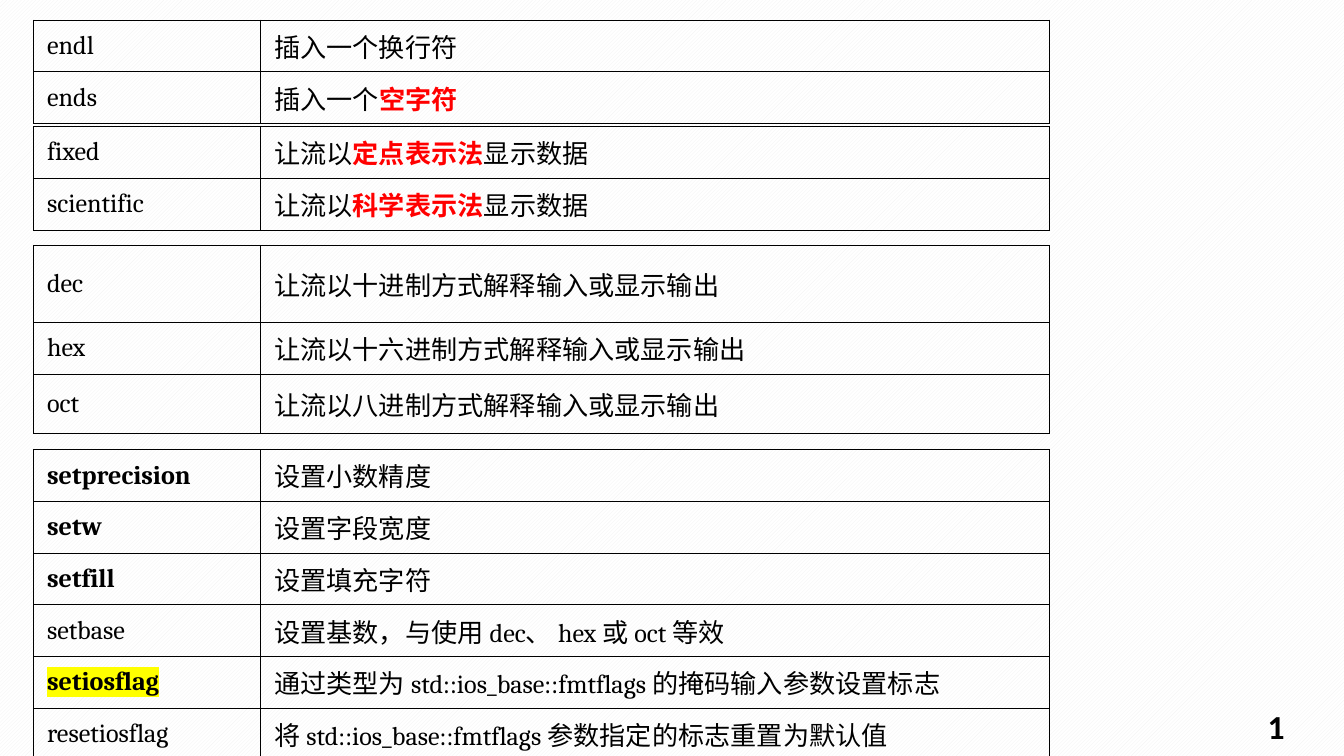
"""Build a slide of four reference tables on C++ stream manipulators."""
import pptx
import pptx.dml.color
import pptx.enum.dml
import pptx.enum.text
import pptx.oxml
import pptx.oxml.ns
import pptx.util

Pt = pptx.util.Pt
BLACK = pptx.dml.color.RGBColor(0, 0, 0)
RED = pptx.dml.color.RGBColor(255, 0, 0)
YELLOW = pptx.dml.color.RGBColor(255, 255, 0)
WHITE = pptx.dml.color.RGBColor(255, 255, 255)
PALE_GRAY = pptx.dml.color.RGBColor(242, 242, 242)

CODE = {"font": "Cambria"}
KEY = {"font": "Cambria", "bold": True}
MARKED = {"font": "Cambria", "bold": True, "highlight": YELLOW}
PLAIN = {"font": "Lato"}
STRONG = {"font": "Lato", "bold": True, "color": RED}

ROW = 27.7
LEFT = 18
COLUMNS = (121.7, 422.6)
TABLES = [
    (10.8, [
        (ROW, [("endl", CODE)], [("插入一个换行符", PLAIN)]),
        (ROW, [("ends", CODE)], [("插入一个", PLAIN), ("空字符", STRONG)]),
    ]),
    (67.7, [
        (ROW, [("fixed", CODE)],
         [("让流以", PLAIN), ("定点表示法", STRONG), ("显示数据", PLAIN)]),
        (28.2, [("scientific", CODE)],
         [("让流以", PLAIN), ("科学表示法", STRONG), ("显示数据", PLAIN)]),
    ]),
    (131.4, [
        (41.4, [("dec", CODE)], [("让流以十进制方式解释输入或显示输出", PLAIN)]),
        (ROW, [("hex", CODE)], [("让流以十六进制方式解释输入或显示输出", PLAIN)]),
        (31.7, [("oct", CODE)], [("让流以八进制方式解释输入或显示输出", PLAIN)]),
    ]),
    (240.9, [
        (ROW, [("setprecision", KEY)], [("设置小数精度", PLAIN)]),
        (ROW, [("setw", KEY)], [("设置字段宽度", PLAIN)]),
        (ROW, [("setfill", KEY)], [("设置填充字符", PLAIN)]),
        (ROW, [("setbase", CODE)],
         [("设置基数，与使用 ", PLAIN), ("dec", CODE), ("、 ", PLAIN), ("hex ", CODE),
          ("或 ", PLAIN), ("oct ", CODE), ("等效", PLAIN)]),
        (ROW, [("setiosflag", MARKED)],
         [("通过类型为 ", PLAIN), ("std::ios_base::fmtflags ", CODE),
          ("的掩码输入参数设置标志", PLAIN)]),
        (ROW, [("resetiosflag", CODE)],
         [("将 ", PLAIN), ("std::ios_base::fmtflags ", CODE),
          ("参数指定的标志重置为默认值", PLAIN)]),
    ]),
]


def add_text(para, text, font, size=14, bold=False, color=BLACK, highlight=None):
    span = para.add_run()
    span.text = text
    span.font.name = font
    span.font.size = Pt(size)
    span.font.bold = bold
    span.font.color.rgb = color
    if highlight is not None:
        fill = span.font._element.find(pptx.oxml.ns.qn("a:solidFill"))
        fill.addnext(pptx.oxml.parse_xml(
            f'<a:highlight {pptx.oxml.ns.nsdecls("a")}>'
            f'<a:srgbClr val="{highlight}"/></a:highlight>'))


def add_borders(cell):
    properties = cell._tc.get_or_add_tcPr()
    for side in ("lnL", "lnR", "lnT", "lnB"):
        properties.append(pptx.oxml.parse_xml(
            f'<a:{side} {pptx.oxml.ns.nsdecls("a")} w="{Pt(0.5)}"><a:solidFill>'
            f'<a:srgbClr val="{BLACK}"/></a:solidFill></a:{side}>'))


def add_reference_table(page, top, rows):
    height = sum(row[0] for row in rows)
    frame = page.shapes.add_table(
        len(rows), len(COLUMNS), Pt(LEFT), Pt(top), Pt(sum(COLUMNS)), Pt(height))
    table = frame.table
    table.first_row = table.horz_banding = False
    for column, width in zip(table.columns, COLUMNS):
        column.width = Pt(width)
    for index, (row_height, *contents) in enumerate(rows):
        table.rows[index].height = Pt(row_height)
        for position, spans in enumerate(contents):
            cell = table.cell(index, position)
            cell.vertical_anchor = pptx.enum.text.MSO_ANCHOR.MIDDLE
            add_borders(cell)
            cell.fill.background()
            for text, style in spans:
                add_text(cell.text_frame.paragraphs[0], text, **style)


def main():
    deck = pptx.Presentation()
    deck.slide_width, deck.slide_height = Pt(720), Pt(405)
    page = deck.slides.add_slide(deck.slide_layouts[6])
    backdrop = page.background.fill
    backdrop.patterned()
    backdrop.pattern = pptx.enum.dml.MSO_PATTERN.LIGHT_UPWARD_DIAGONAL
    backdrop.fore_color.rgb = PALE_GRAY
    backdrop.back_color.rgb = WHITE
    for top, rows in TABLES:
        add_reference_table(page, top, rows)
    number_box = page.shapes.add_textbox(Pt(672), Pt(374.4), Pt(39.6), Pt(21.6))
    number_box.text_frame.word_wrap = True
    para = number_box.text_frame.paragraphs[0]
    add_text(para, "1", font="Calibri", size=18, bold=True)
    deck.save("out.pptx")


if __name__ == "__main__":
    main()
